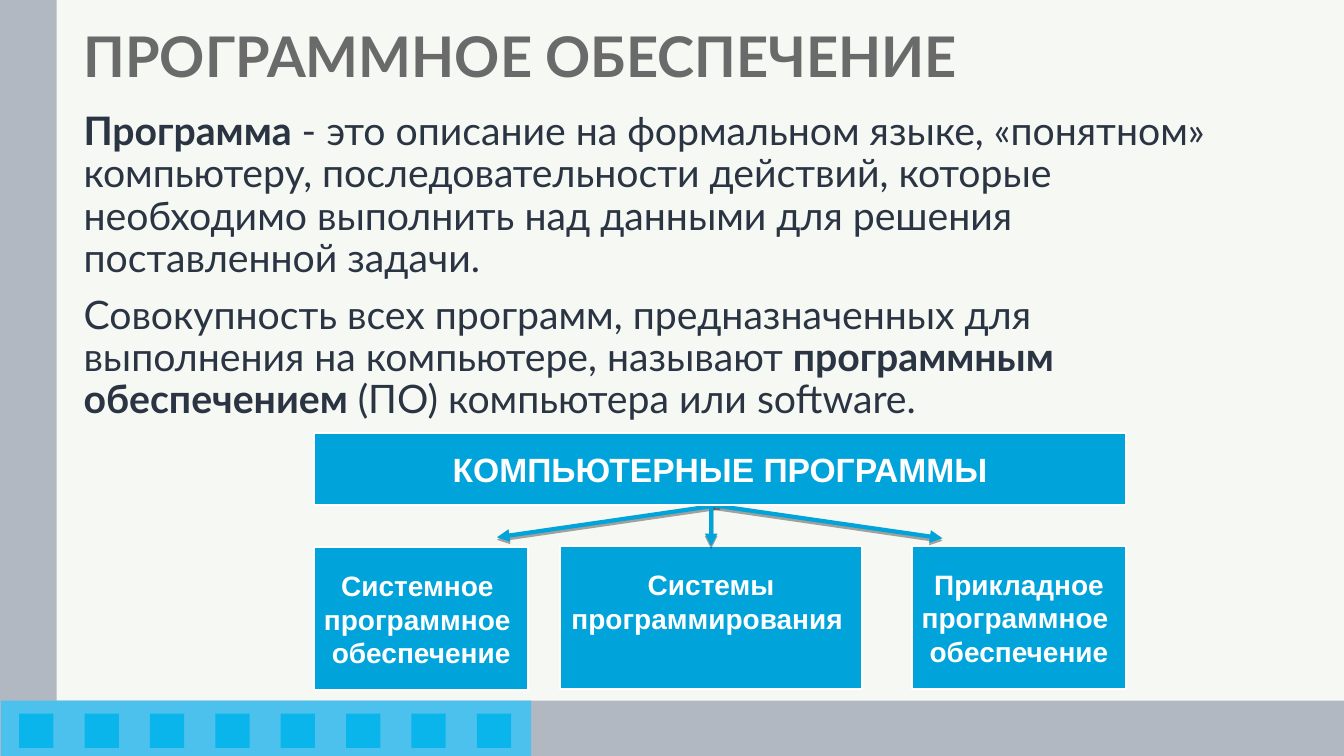
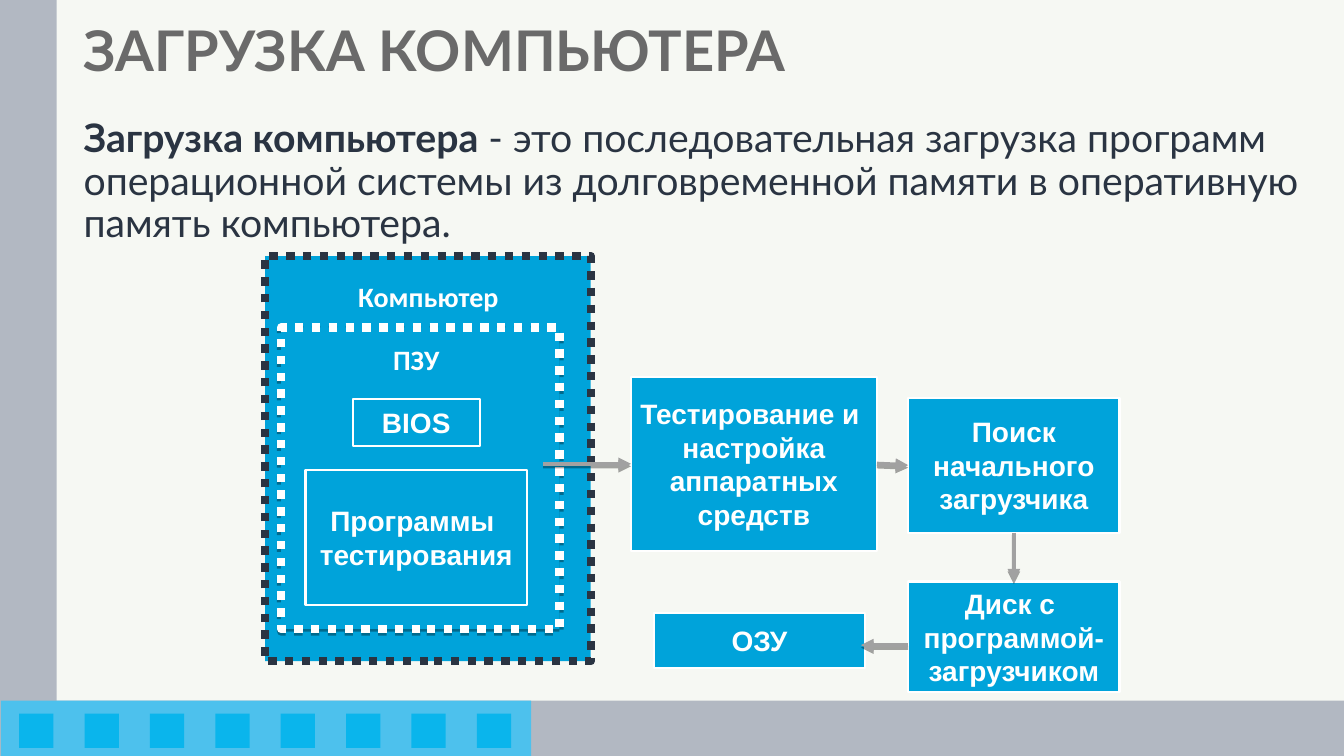
from pptx import Presentation
from pptx.dml.color import RGBColor
from pptx.enum.dml import MSO_LINE
from pptx.enum.shapes import MSO_CONNECTOR, MSO_SHAPE
from pptx.enum.text import MSO_ANCHOR, PP_ALIGN
from pptx.oxml import parse_xml
from pptx.oxml.ns import nsdecls, qn
from pptx.util import Pt

COLORS = {
    "paper": "F6F8F3", "band": "B2B8C2", "strip": "4DC1ED", "square": "0AB5EC",
    "box": "00A3DA", "white": "FFFFFF", "title": "6A6A6A", "dark": "2A3442",
    "arrow": "A1A1A1",
}
RGB = {name: RGBColor.from_string(value) for name, value in COLORS.items()}
TOP, LEFT, BOTTOM, RIGHT = 0, 1, 2, 3
SHADOW = (f'<a:outerShdw {nsdecls("a")} blurRad="0" dist="22860" dir="5400000">'
          '<a:srgbClr val="000000"><a:alpha val="35000"/></a:srgbClr></a:outerShdw>')


def box(s, x, y, w, h, lines=(), fill="box", line="white", weight=1.5,
        size=20, font="Arial"):
    """Add a rectangle with one centred bold paragraph per line of text."""
    sp = s.shapes.add_shape(MSO_SHAPE.RECTANGLE, Pt(x), Pt(y), Pt(w), Pt(h))
    sp.shadow.inherit = False
    sp.fill.solid()
    sp.fill.fore_color.rgb = RGB[fill]
    if line:
        sp.line.color.rgb = RGB[line]
        sp.line.width = Pt(weight)
    else:
        sp.line.fill.background()
    tf = sp.text_frame
    tf.word_wrap = False
    tf.vertical_anchor = MSO_ANCHOR.MIDDLE
    for i, text in enumerate(lines):
        p = tf.add_paragraph() if i else tf.paragraphs[0]
        p.alignment = PP_ALIGN.CENTER
        r = p.add_run()
        r.text = text
        r.font.name, r.font.size, r.font.bold = font, Pt(size), True
        r.font.color.rgb = RGB["white"]
    return sp


def arrow(s, x1, y1, x2, y2, color="arrow"):
    """Add a shadowed arrow whose tip is at the second point."""
    c = s.shapes.add_connector(MSO_CONNECTOR.STRAIGHT, Pt(x1), Pt(y1), Pt(x2), Pt(y2))
    c.line.color.rgb = RGB[color]
    c.line.width = Pt(3)
    spPr = c._element.spPr
    spPr.find(qn("a:ln")).append(parse_xml(f'<a:tailEnd {nsdecls("a")} type="triangle"/>'))
    effects = parse_xml(f'<a:effectLst {nsdecls("a")}/>')
    effects.append(parse_xml(SHADOW))
    spPr.append(effects)
    return c


prs = Presentation()
prs.slide_width, prs.slide_height = Pt(960), Pt(540)
background = prs.slide_master.background.fill
background.solid()
background.fore_color.rgb = RGB["paper"]

# Title, title top, body top, body width, body paragraphs as (text, bold) runs
pages = [
    ("ПРОГРАММНОЕ ОБЕСПЕЧЕНИЕ", -10, 76.3, 855.4, [
        [("Программа", True),
         (" - это описание на формальном языке, «понятном» компьютеру, "
          "последовательности действий, которые необходимо выполнить над данными "
          "для решения поставленной задачи.", False)],
        [("Совокупность всех программ, предназначенных для выполнения на "
          "компьютере, называют ", False),
         ("программным обеспечением", True),
         (" (ПО) компьютера или software.", False)],
    ]),
    ("ЗАГРУЗКА КОМПЬЮТЕРА", -14, 81.4, 887, [
        [("Загрузка компьютера", True),
         (" - это последовательная загрузка программ операционной системы из "
          "долговременной памяти в оперативную память компьютера.", False)],
    ]),
]

slides = []
for title, title_top, body_top, body_width, paragraphs in pages:
    s = prs.slides.add_slide(prs.slide_layouts[6])
    slides.append(s)
    box(s, 0, 0, 40.6, 540, fill="band", line=None)
    box(s, 0, 500.4, 960, 39.6, fill="band", line=None)
    box(s, 0.7, 500.4, 378.7, 39.6, fill="strip", line=None)
    for i in range(8):
        box(s, 13.7 + 46.7 * i, 509.8, 24.5, 24.5, fill="square", line=None)

    texts = [
        (title_top, 855.4, 104.4, 40, "title", MSO_ANCHOR.MIDDLE, [[(title, True)]]),
        (body_top, body_width, 200, 28, "dark", MSO_ANCHOR.TOP, paragraphs),
    ]
    for top, width, height, size, color, anchor, content in texts:
        tf = s.shapes.add_textbox(Pt(52.6), Pt(top), Pt(width), Pt(height)).text_frame
        tf.word_wrap = True
        tf.vertical_anchor = anchor
        for i, runs in enumerate(content):
            p = tf.add_paragraph() if i else tf.paragraphs[0]
            p.line_spacing = 0.9
            if i:
                p.space_before = Pt(10)
            for text, bold in runs:
                r = p.add_run()
                r.text = text
                r.font.name, r.font.size, r.font.bold = "Lato", Pt(size), bold
                r.font.color.rgb = RGB[color]

programs, boot = slides

# Kinds of programs
box(programs, 224.6, 391, 152.6, 102,
    ["Системное ", "программное ", "обеспечение"])
languages = box(programs, 400.3, 390.2, 215.3, 102, ["Системы", "программирования "])
languages.text_frame.margin_bottom = Pt(26.6)
box(programs, 651.6, 390.2, 152.6, 102,
    ["Прикладное", "программное ", "обеспечение"])
to_system = arrow(programs, 514.4, 360.7, 355, 383.8, "box")
arrow(programs, 508, 360.7, 673.2, 384.5, "box")
to_languages = arrow(programs, 508, 360.7, 508, 390.2, "box")
to_languages.end_connect(languages, TOP)
header = box(programs, 224.6, 309.6, 579.6, 51.1, ["КОМПЬЮТЕРНЫЕ ПРОГРАММЫ"], size=24)
to_system.begin_connect(header, BOTTOM)

# Computer with its read-only memory
computer = box(boot, 189.4, 182.9, 232.6, 289.4, line="dark", weight=6)
box(boot, 212.4, 194.4, 187.2, 33.8, ["Компьютер"], line=None, font="Calibri")
rom = box(boot, 200.9, 234, 198.7, 215.3, weight=6)
for sp in (computer, rom):
    sp.line.dash_style = MSO_LINE.ROUND_DOT
rom._element.spPr.find(qn("a:effectLst")).append(parse_xml(SHADOW))
box(boot, 246.2, 239.8, 102.2, 33.8, ["ПЗУ"], line=None, font="Calibri")
box(boot, 252, 285.1, 90.7, 33.8, ["BIOS"])
box(boot, 218.2, 335.5, 158.4, 96.5, ["Программы ", "тестирования"])

# Boot sequence
testing = box(boot, 450.7, 269, 175.7, 124.6,
              ["Тестирование и ", "настройка", "аппаратных", "средств"])
search = box(boot, 648.7, 284, 151, 96.5, ["Поиск", "начального", "загрузчика"])
disk = box(boot, 648.7, 415.4, 151, 79.2, ["Диск с ", "программой-", "загрузчиком"])
box(boot, 467.3, 437.8, 150.5, 39.6, ["ОЗУ"])
arrow(boot, 388, 331.3, 450.7, 331.3).end_connect(testing, LEFT)
for start, start_side, end, end_side in [(testing, RIGHT, search, LEFT),
                                         (search, BOTTOM, disk, TOP)]:
    c = arrow(boot, 0, 0, 10, 10)
    c.begin_connect(start, start_side)
    c.end_connect(end, end_side)
arrow(boot, 648.7, 460.8, 615, 460.8)

prs.save("out.pptx")
